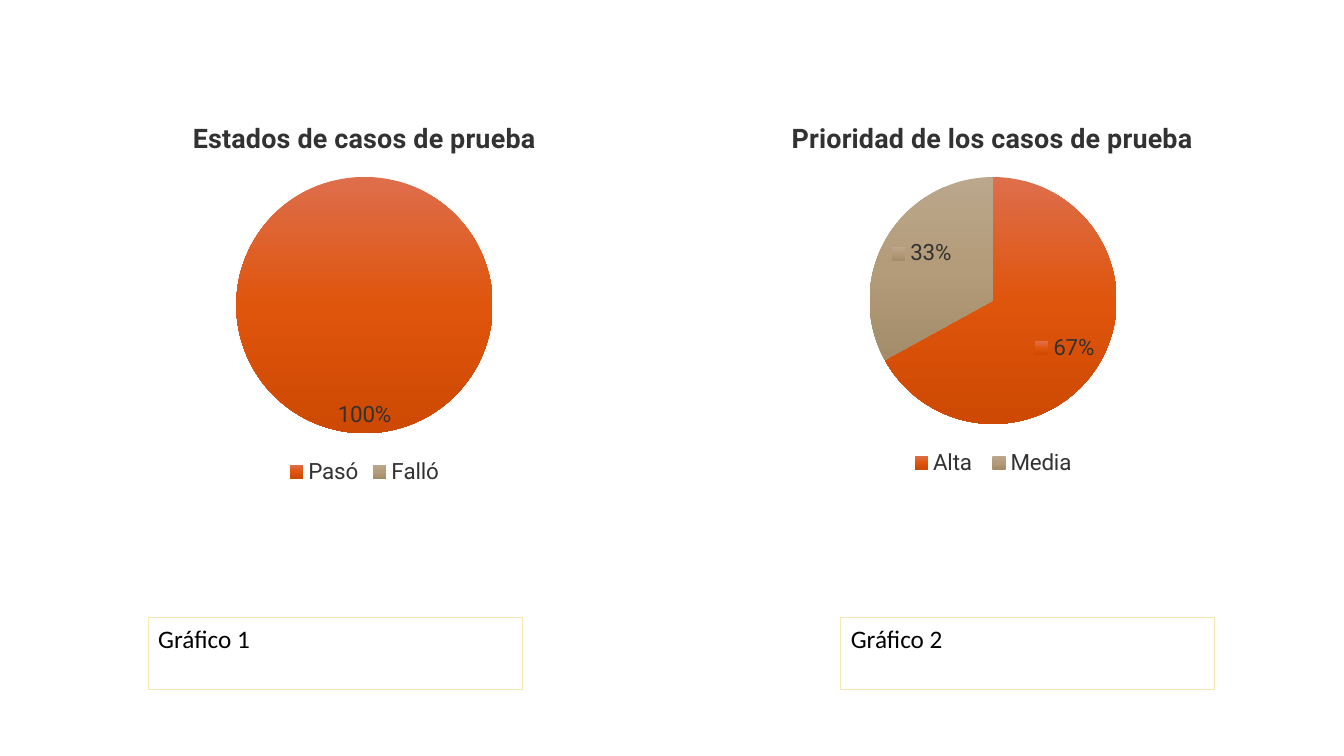
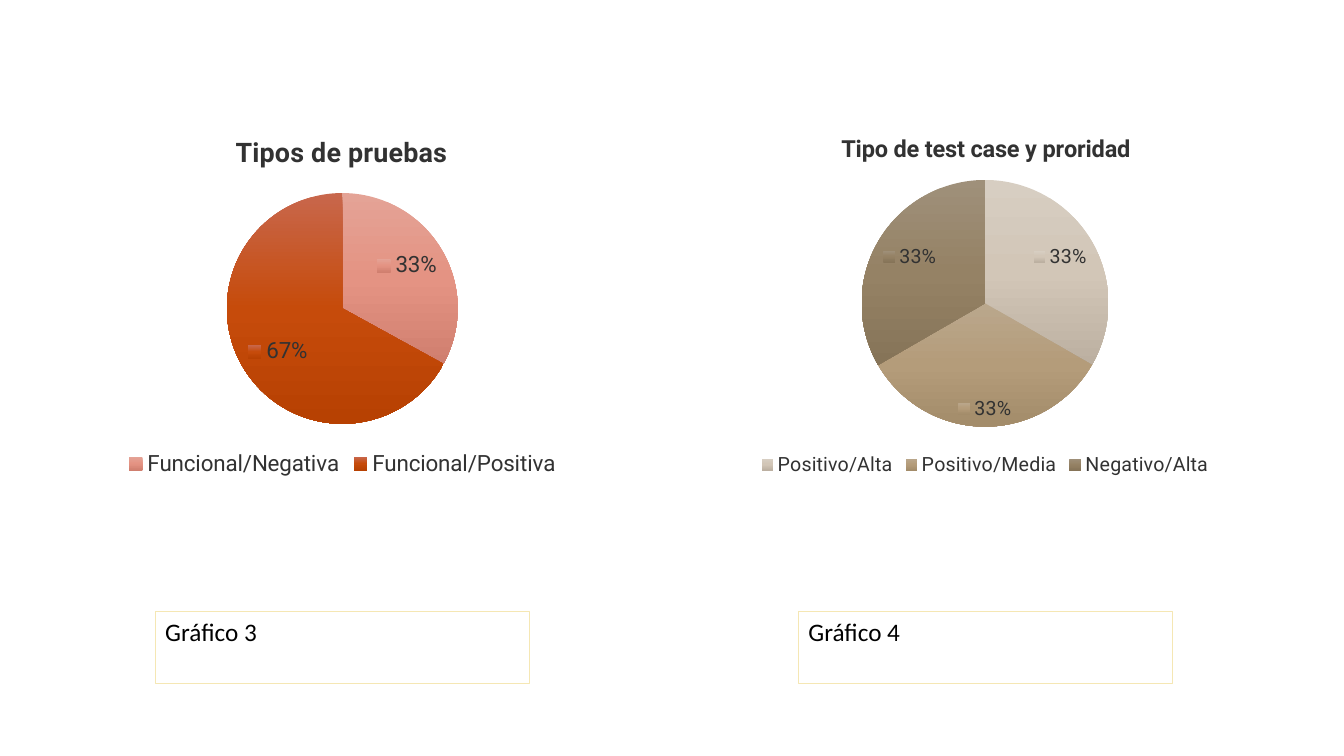
import copy
import dataclasses
import typing

import pptx
import pptx.chart.data
import pptx.dml.color
import pptx.enum.chart
import pptx.enum.shapes
import pptx.enum.text
import pptx.oxml
import pptx.oxml.ns
import pptx.util

# Page and shared style
WIDTH = pptx.util.Inches(13.33)
HEIGHT = pptx.util.Inches(7.5)
BLANK_LAYOUT = 6
TITLE_SCALE = 1.2
TITLE_TOP = 3.2
CAPTION_SIZE = (27.83, 9.47)

COLORS = {
    "ink": "000000",
    "chart_text": "323232",
    "caption_line": "F5E7B4",
}

# Slice gradients, from top to bottom
GRADIENTS = {
    "orange": ("DE6E4C", "DF550C", "CE4903"),
    "tan": ("BAA78C", "B49C7A", "A38C6A"),
    "salmon": ("E4A396", "E49383", "D07F6F"),
    "rust": ("C8674C", "C64B0B", "B74102"),
    "sand": ("D7CEC2", "D2C6B7", "BCB0A1"),
    "brown": ("9F907A", "958265", "867458"),
}


@dataclasses.dataclass(frozen=True)
class Slice:
    category: str
    percent: int
    gradient: str


@dataclasses.dataclass(frozen=True)
class Pie:
    """Box in hundredths of the slide; the other shares are of the chart."""
    title: str
    box: tuple[float, float, float, float]
    title_left: float
    pie_top: float
    pie_height: float
    slices: tuple[Slice, ...]
    text_size: int = 16
    legend_keys: bool = True


@dataclasses.dataclass(frozen=True)
class Caption:
    text: str
    left: float
    top: float


@dataclasses.dataclass(frozen=True)
class Page:
    pies: tuple[Pie, ...]
    captions: tuple[Caption, ...]


# Content
PAGES = (
    Page(
        pies=(
            Pie("Estados de casos de prueba", (7.28, 13.6, 39.68, 51.07),
                16.9, 19.2, 66.4,
                (Slice("Pasó", 100, "orange"), Slice("Falló", 0, "tan")),
                legend_keys=False),
            Pie("Prioridad de los casos de prueba", (53.04, 13.6, 41.71, 49.87),
                13.2, 19.7, 65.5,
                (Slice("Alta ", 67, "orange"), Slice("Media", 33, "tan"))),
        ),
        captions=(Caption("Gráfico 1", 11.03, 81.73),
                  Caption("Gráfico 2", 62.57, 81.73)),
    ),
    Page(
        pies=(
            Pie("Tipos de pruebas", (3.15, 15.6, 44.64, 48),
                31.4, 20.7, 63.6,
                (Slice("Funcional/Negativa", 33, "salmon"),
                 Slice("Funcional/Positiva", 67, "rust"))),
            Pie("Tipo de test case y proridad", (52.21, 15.6, 42.16, 48),
                23.9, 17.1, 68,
                (Slice("Positivo/Alta", 33, "sand"),
                 Slice("Positivo/Media", 33, "tan"),
                 Slice("Negativo/Alta", 33, "brown")),
                text_size=14),
        ),
        captions=(Caption("Gráfico 3", 11.55, 80.93),
                  Caption("Gráfico 4", 59.41, 80.93)),
    ),
)


def rgb(value: str) -> pptx.dml.color.RGBColor:
    return pptx.dml.color.RGBColor.from_string(value)


def place(left: float, top: float, width: float, height: float) -> list[int]:
    """Turn hundredths of the slide into lengths."""
    shares = zip((left, top, width, height), (WIDTH, HEIGHT, WIDTH, HEIGHT))
    return [round(share * full / 100) for share, full in shares]


def set_format(target: typing.Any, values: dict[str, typing.Any]) -> None:
    for key, value in values.items():
        setattr(target, key, value)


def set_font(font: typing.Any, name: str, size: float, color: str, bold: bool = False) -> None:
    set_format(font, {"name": name, "size": pptx.util.Pt(size), "bold": bold})
    font.color.rgb = rgb(COLORS[color])


def set_layout(parent: typing.Any, index: int, inner: bool, **shares: float) -> None:
    """Place a chart part by shares of the chart, in hundredths."""
    for old in parent.findall(pptx.oxml.ns.qn("c:layout")):
        parent.remove(old)
    target = '<c:layoutTarget val="inner"/>' if inner else ""
    modes = "".join(f'<c:{key}Mode val="edge"/>' for key in ("x", "y"))
    values = "".join(f'<c:{key} val="{share / 100:.3f}"/>' for key, share in shares.items())
    parent.insert(index, pptx.oxml.parse_xml(
        f'<c:layout {pptx.oxml.ns.nsdecls("c")}><c:manualLayout>'
        f"{target}{modes}{values}</c:manualLayout></c:layout>"))


def fill_gradient(fill: typing.Any, colors: tuple[str, ...]) -> None:
    fill.gradient()
    fill.gradient_angle = 270
    first = fill.gradient_stops[0]._gs
    first.getparent().append(copy.deepcopy(first))
    for number, (stop, color) in enumerate(zip(fill.gradient_stops, colors)):
        stop.position = number / (len(colors) - 1)
        stop.color.rgb = rgb(color)


def draw_pie(slide: typing.Any, pie: Pie) -> None:
    data = pptx.chart.data.CategoryChartData()
    data.categories = [part.category for part in pie.slices]
    data.add_series("Series 1", [part.percent for part in pie.slices])
    chart = slide.shapes.add_chart(
        pptx.enum.chart.XL_CHART_TYPE.PIE, *place(*pie.box), data).chart
    set_font(chart.font, "Roboto", pie.text_size, "ink")

    # Title
    chart.has_title = True
    heading = chart.chart_title.text_frame
    heading.text = pie.title
    set_font(heading.paragraphs[0].runs[0].font, "Roboto",
             pie.text_size * TITLE_SCALE, "chart_text", bold=True)
    set_layout(chart.chart_title._element, 1, False, x=pie.title_left, y=TITLE_TOP)

    # Legend
    chart.has_legend = True
    set_format(chart.legend, {
        "position": pptx.enum.chart.XL_LEGEND_POSITION.BOTTOM,
        "include_in_layout": False,
    })
    set_font(chart.legend.font, "Roboto", pie.text_size, "chart_text")

    # Slices and labels
    plot = chart.plots[0]
    set_format(plot, {"vary_by_categories": True, "has_data_labels": True})
    set_format(plot.data_labels, {
        "show_percentage": True,
        "show_value": False,
        "show_legend_key": pie.legend_keys,
        "number_format": "0%",
        "number_format_is_linked": False,
        "position": pptx.enum.chart.XL_LABEL_POSITION.INSIDE_END,
    })
    set_font(plot.data_labels.font, "Roboto", pie.text_size, "chart_text")
    for number, part in enumerate(pie.slices):
        look = plot.series[0].points[number].format
        fill_gradient(look.fill, GRADIENTS[part.gradient])
        look.line.fill.background()
    set_layout(plot._element.getparent(), 0, True,
               x=5, y=pie.pie_top, w=90, h=pie.pie_height)


def draw_caption(slide: typing.Any, caption: Caption) -> None:
    frame = slide.shapes.add_shape(
        pptx.enum.shapes.MSO_SHAPE.RECTANGLE,
        *place(caption.left, caption.top, *CAPTION_SIZE))
    frame.shadow.inherit = False
    frame.fill.background()
    frame.line.color.rgb = rgb(COLORS["caption_line"])
    frame.line.width = pptx.util.Pt(0.75)
    set_format(frame.text_frame, {
        "text": caption.text,
        "word_wrap": True,
        "vertical_anchor": pptx.enum.text.MSO_ANCHOR.TOP,
    })
    line = frame.text_frame.paragraphs[0]
    line.alignment = pptx.enum.text.PP_ALIGN.LEFT
    set_font(line.runs[0].font, "Calibri", 18, "ink")


def main() -> None:
    deck = pptx.Presentation()
    set_format(deck, {"slide_width": WIDTH, "slide_height": HEIGHT})
    for page in PAGES:
        slide = deck.slides.add_slide(deck.slide_layouts[BLANK_LAYOUT])
        for pie in page.pies:
            draw_pie(slide, pie)
        for caption in page.captions:
            draw_caption(slide, caption)
    deck.save("out.pptx")


if __name__ == "__main__":
    main()
